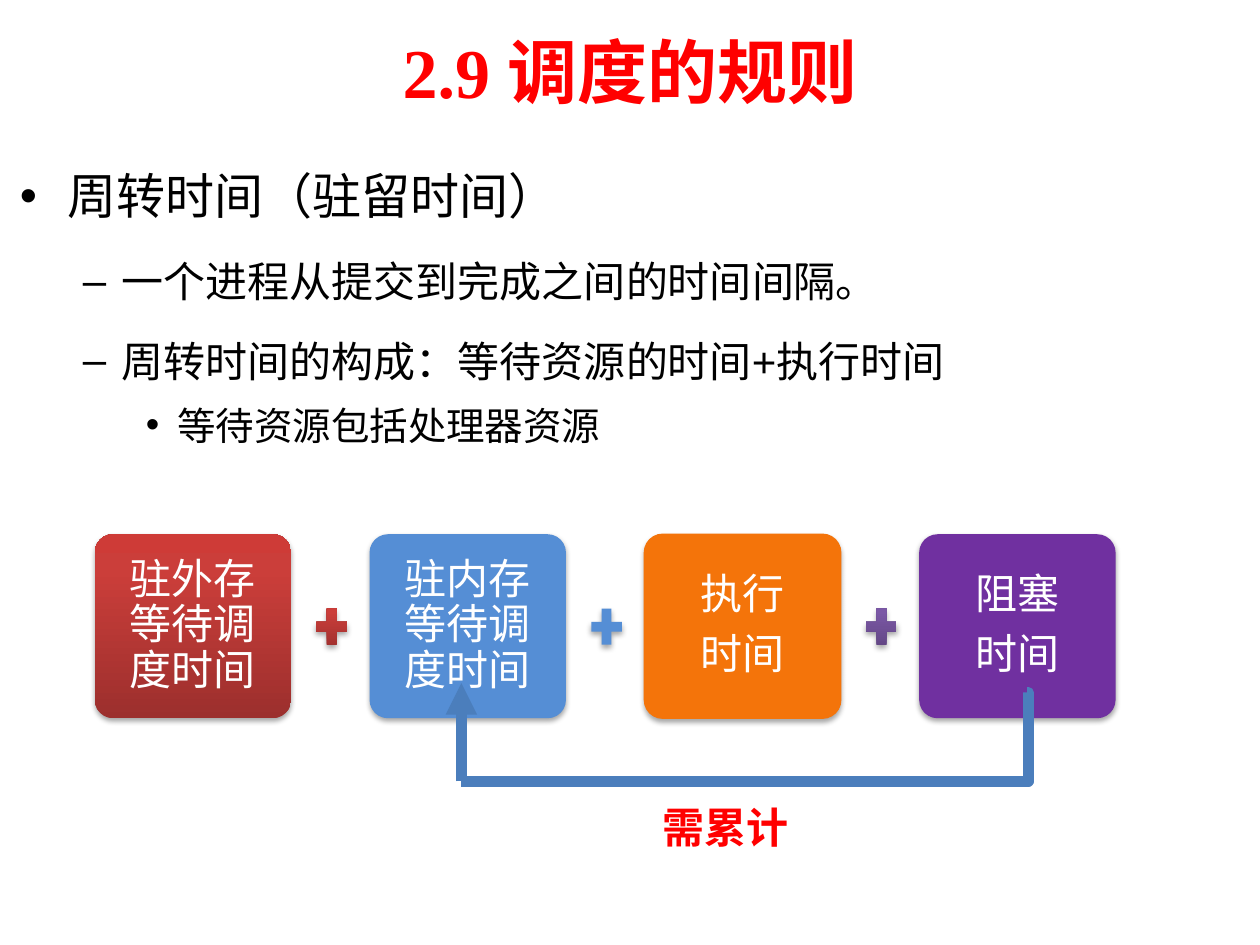
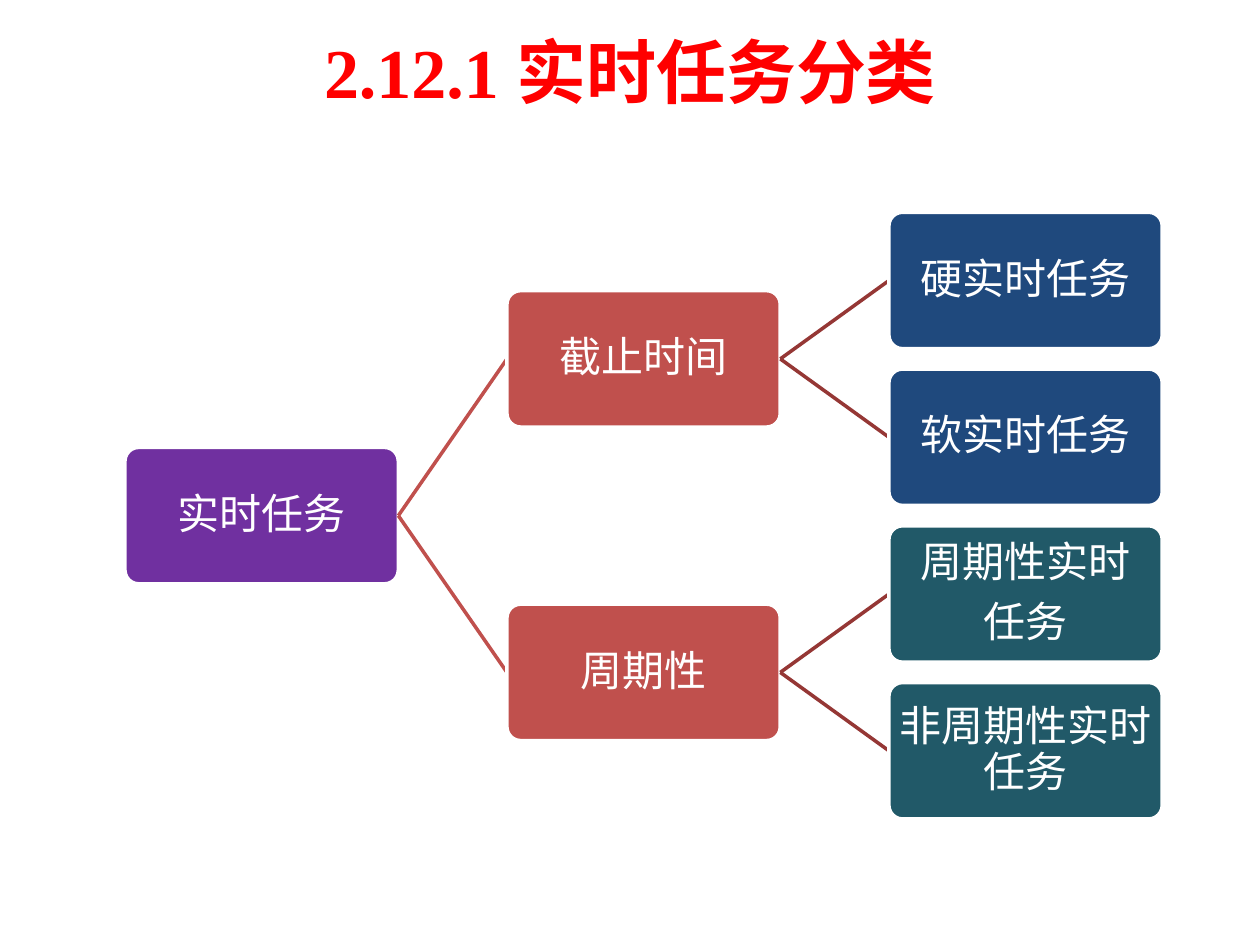
from dataclasses import dataclass
from typing import Any

from lxml import etree
from pptx import Presentation
from pptx import util as u
from pptx.dml.color import RGBColor
from pptx.enum import shapes, text
from pptx.oxml import ns


@dataclass(frozen=True)
class Theme:
    title: str = "FF0000"
    body: str = "000000"
    on_fill: str = "FFFFFF"
    border: str = "FFFFFF"
    purple: str = "7030A0"
    blue: str = "558ED5"
    orange: str = "F4740A"
    red: str = "C0504D"
    dark_red: str = "953735"
    navy: str = "1F497D"
    teal: str = "215968"
    loop: str = "4B7EBC"
    red_shade: tuple[str, ...] = ("9C2F2D", "CB3E3A", "CE3B37")
    purple_shade: tuple[str, ...] = ("5F4480", "7B58A6", "7C57A8")
    title_font: str = "Times New Roman"
    body_font: str = "Arial"
    box_font: str = "Calibri"
    title_size: int = 40
    box_size: int = 24
    level_sizes: tuple[int, ...] = (28, 24, 22)


THEME = Theme()
Fill = str | tuple[str, ...]


@dataclass(frozen=True)
class Stage:
    label: str
    fill: Fill
    plus_fill: Fill | None = None
    outline: str | None = None


@dataclass(frozen=True)
class Level:
    bullet: str
    margin: float
    hanging: float
    line_spacing: float


@dataclass(frozen=True)
class Node:
    label: str
    fill: str
    link: str = ""
    children: tuple["Node", ...] = ()


LEVELS = (
    Level("•", 0.97, 0.97, 1.25),
    Level("–", 2.06, 0.79, 1.25),
    Level("•", 3.18, 0.64, 1.0),
)
POINTS = (
    (0, "周转时间（驻留时间）"),
    (1, "一个进程从提交到完成之间的时间间隔。"),
    (1, "周转时间的构成：等待资源的时间+执行时间"),
    (2, "等待资源包括处理器资源"),
)
STAGES = (
    Stage("驻外存等待调度时间", THEME.red_shade, THEME.red_shade),
    Stage("驻内存等待调度时间", THEME.blue, THEME.blue),
    Stage("执行\n时间", THEME.orange, THEME.purple_shade, THEME.orange),
    Stage("阻塞\n时间", THEME.purple),
)
TASKS = Node("实时任务", THEME.purple, THEME.red, (
    Node("截止时间", THEME.red, THEME.dark_red, (
        Node("硬实时任务", THEME.navy),
        Node("软实时任务", THEME.navy),
    )),
    Node("周期性", THEME.red, THEME.dark_red, (
        Node("周期性实时\n任务", THEME.teal),
        Node("非周期性实时任务", THEME.teal),
    )),
))

STAGE_LEFT, STAGE_TOP, STAGE_PITCH = 1.91, 10.77, 5.54
STAGE_SIZE = (3.96, 3.71)
PLUS_OFFSET = (4.36, 1.37)
PLUS_SIZE = (0.84, 0.99)
TREE_LEFT, TREE_TOP = 2.52, 4.28
COLUMN_PITCH, ROW_PITCH = 7.7, 3.16
NODE_SIZE = (5.51, 2.75)


def cm(*lengths: float) -> list[u.Length]:
    return [u.Cm(length) for length in lengths]


def assign(target: Any, values: dict[str, Any]) -> None:
    for attribute, value in values.items():
        setattr(target, attribute, value)


def sub(parent: Any, tag: str, **attributes: Any) -> Any:
    return etree.SubElement(parent, ns.qn(tag), {k: str(v) for k, v in attributes.items()})


def set_font(run: Any, name: str, size: float, color: str, bold: bool = False) -> None:
    assign(run.font, {"name": name, "size": u.Pt(size), "bold": bold})
    run.font.color.rgb = RGBColor.from_string(color)


def add_title(deck: Any, title: str) -> Any:
    """Add a title-only slide and format its title."""
    slide = deck.slides.add_slide(deck.slide_layouts[5])
    heading = slide.shapes.title
    assign(heading, dict(zip(("left", "top", "width", "height"), cm(1.27, 0.13, 22.86, 2.59))))
    heading.text_frame.vertical_anchor = text.MSO_ANCHOR.MIDDLE
    paragraph = heading.text_frame.paragraphs[0]
    paragraph.alignment = text.PP_ALIGN.CENTER
    run = paragraph.add_run()
    run.text = title
    set_font(run, THEME.title_font, THEME.title_size, THEME.title, True)
    return slide


def paint(shape: Any, fill: Fill) -> None:
    """Fill with one colour, or with a gradient rising from the bottom."""
    if isinstance(fill, str):
        shape.fill.solid()
        shape.fill.fore_color.rgb = RGBColor.from_string(fill)
        return
    shape.fill.gradient()
    shape.fill.gradient_angle = 90
    stops = shape.element.spPr.find(".//" + ns.qn("a:gsLst"))
    stops.clear()
    for position, color in zip((0, 80, 100), fill):
        sub(sub(stops, "a:gs", pos=position * 1000), "a:srgbClr", val=color)


def add_filled(slide: Any, kind: Any, place: list[u.Length], fill: Fill,
               outline: str | None = None, width: float = 0.75, shadow: bool = False) -> Any:
    shape = slide.shapes.add_shape(kind, *place)
    paint(shape, fill)
    if outline:
        shape.line.color.rgb = RGBColor.from_string(outline)
        shape.line.width = u.Pt(width)
    else:
        shape.line.fill.background()
    shape.shadow.inherit = False
    if shadow:
        effects = shape.element.spPr.find(ns.qn("a:effectLst"))
        cast = sub(effects, "a:outerShdw", blurRad=40000, dist=23000, dir=5400000, rotWithShape=0)
        sub(sub(cast, "a:srgbClr", val="000000"), "a:alpha", val=35000)
    return shape


def add_box(slide: Any, place: list[u.Length], label: str, fill: Fill, inset: float,
            **look: Any) -> Any:
    """Add a rounded box with centred white text, one paragraph per label line."""
    box = add_filled(slide, shapes.MSO_SHAPE.ROUNDED_RECTANGLE, place, fill, **look)
    box.adjustments[0] = 0.1
    frame = box.text_frame
    assign(frame, {"word_wrap": True, "vertical_anchor": text.MSO_ANCHOR.MIDDLE})
    assign(frame, {f"margin_{side}": u.Cm(inset) for side in ("left", "top", "right", "bottom")})
    frame.text = label
    for paragraph in frame.paragraphs:
        assign(paragraph, {"alignment": text.PP_ALIGN.CENTER, "line_spacing": 0.9,
                           "space_after": u.Pt(0.35 * THEME.box_size)})
        set_font(paragraph.runs[0], THEME.box_font, THEME.box_size, THEME.on_fill)
    return box


def add_link(slide: Any, kind: Any, ends: list[u.Length], color: str, width: float) -> Any:
    link = slide.shapes.add_connector(kind, *ends)
    link.line.color.rgb = RGBColor.from_string(color)
    link.line.width = u.Pt(width)
    sub(link.element.spPr, "a:effectLst")
    return link


def add_points(slide: Any) -> None:
    frame = slide.shapes.add_textbox(*cm(0.15, 2.92, 25.1, 7.19)).text_frame
    frame.word_wrap = True
    for index, (depth, point) in enumerate(POINTS):
        level, size = LEVELS[depth], THEME.level_sizes[depth]
        paragraph = frame.add_paragraph() if index else frame.paragraphs[0]
        gap = u.Pt(0.2 * size)
        assign(paragraph, {"level": depth, "line_spacing": level.line_spacing,
                           "space_before": gap, "space_after": gap})
        run = paragraph.add_run()
        run.text = point
        set_font(run, THEME.body_font, size, THEME.body)
        properties = paragraph._p.get_or_add_pPr()
        properties.set("marL", str(u.Cm(level.margin)))
        properties.set("indent", str(-u.Cm(level.hanging)))
        sub(properties, "a:buFont", typeface=THEME.body_font)
        sub(properties, "a:buChar", char=level.bullet)


def add_stages(slide: Any) -> None:
    for index, stage in enumerate(STAGES):
        left = STAGE_LEFT + index * STAGE_PITCH
        add_box(slide, cm(left, STAGE_TOP, *STAGE_SIZE), stage.label, stage.fill, 0.25,
                outline=stage.outline, shadow=True)
        if stage.plus_fill:
            place = cm(left + PLUS_OFFSET[0], STAGE_TOP + PLUS_OFFSET[1], *PLUS_SIZE)
            add_filled(slide, shapes.MSO_SHAPE.MATH_PLUS, place, stage.plus_fill, shadow=True)


def add_loop(slide: Any) -> None:
    """Lead from the blocked stage back to the wait in memory."""
    note = slide.shapes.add_textbox(*cm(13.11, 16.03, 3.81, 1.27)).text_frame
    note.word_wrap = True
    paragraph = note.paragraphs[0]
    paragraph.space_before = u.Pt(0.5 * THEME.box_size)
    run = paragraph.add_run()
    run.text = "需累计"
    set_font(run, THEME.body_font, THEME.box_size, THEME.title, True)

    connector = shapes.MSO_CONNECTOR
    turn = add_link(slide, connector.ELBOW, cm(20.7, 13.96, 9.3, 15.75), THEME.loop, 6)
    guides = turn.element.spPr.find(".//" + ns.qn("a:avLst"))
    sub(guides, "a:gd", name="adj1", fmla="val -300")
    rise = add_link(slide, connector.STRAIGHT, cm(9.3, 15.75, 9.3, 13.77), THEME.loop, 6)
    sub(rise.element.spPr.find(ns.qn("a:ln")), "a:tailEnd", type="triangle")


def count_leaves(node: Node) -> int:
    return sum(map(count_leaves, node.children)) or 1


def centre_row(node: Node, first_row: int) -> float:
    """Row of a node: midway between its first and last child."""
    if not node.children:
        return first_row
    last_row = first_row + count_leaves(node) - count_leaves(node.children[-1])
    return (centre_row(node.children[0], first_row) + centre_row(node.children[-1], last_row)) / 2


def add_tree(slide: Any, node: Node, column: int = 0, first_row: int = 0) -> Any:
    """Draw a node, then each link beneath the child it leads to."""
    top = TREE_TOP + centre_row(node, first_row) * ROW_PITCH
    place = cm(TREE_LEFT + column * COLUMN_PITCH, top, *NODE_SIZE)
    box = add_box(slide, place, node.label, node.fill, 0.05, outline=THEME.border, width=2)
    for child in node.children:
        link = add_link(slide, shapes.MSO_CONNECTOR.STRAIGHT, cm(0, 0, 0, 0), node.link, 2)
        link.begin_connect(box, 3)
        link.end_connect(add_tree(slide, child, column + 1, first_row), 1)
        first_row += count_leaves(child)
    return box


def main() -> None:
    deck = Presentation()
    deck.slide_width, deck.slide_height = cm(25.4, 19.05)

    scheduling = add_title(deck, "2.9 调度的规则")
    add_stages(scheduling)
    add_loop(scheduling)
    add_points(scheduling)

    add_tree(add_title(deck, "2.12.1 实时任务分类"), TASKS)
    deck.save("out.pptx")


if __name__ == "__main__":
    main()
